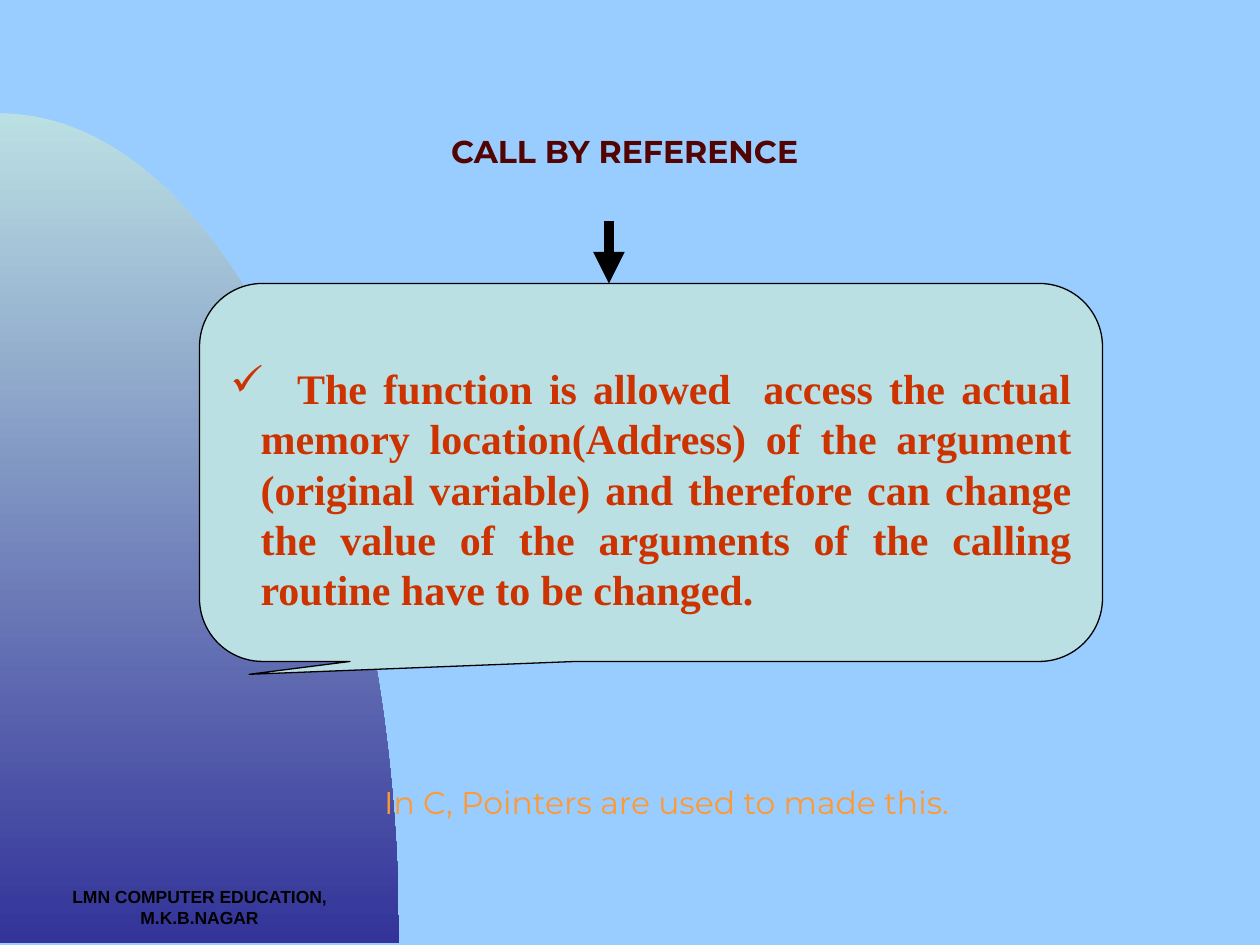
from dataclasses import dataclass
from math import cos, pi, sin

from lxml import etree
from pptx import Presentation
from pptx import util as u
from pptx.dml.color import RGBColor
from pptx.enum import shapes, text
from pptx.oxml import ns

WIDTH, HEIGHT = u.Inches(10), u.Inches(7.5)
COLUMNS, ROWS = 120, 90  # grid of the slide, twelve units to the inch

SKY = RGBColor(0x99, 0xCC, 0xFF)
MINT = RGBColor(0xBB, 0xE0, 0xE3)
INDIGO = RGBColor(0x33, 0x33, 0x99)
MAROON = RGBColor(0x52, 0x04, 0x02)
RUST = RGBColor(0xCC, 0x33, 0x00)
ORANGE = RGBColor(0xFF, 0x99, 0x33)
BLACK = RGBColor(0, 0, 0)


@dataclass
class Area:
    column: float
    row: float
    columns: float
    rows: float

    def lengths(self) -> tuple:
        return (across(self.column), down(self.row),
                across(self.columns), down(self.rows))


@dataclass
class Label:
    words: str
    font: str
    size: float
    color: RGBColor
    bold: bool = False
    align: int = text.PP_ALIGN.CENTER


def across(columns: float) -> int:
    return round(WIDTH * columns / COLUMNS)


def down(rows: float) -> int:
    return round(HEIGHT * rows / ROWS)


def apply(target, formats: dict) -> None:
    for name, value in formats.items():
        setattr(target, name, value)


def write(box, label: Label, anchor=text.MSO_ANCHOR.TOP):
    """Put one formatted paragraph in a shape and return the paragraph."""
    frame = box.text_frame
    apply(frame, {"word_wrap": True, "auto_size": text.MSO_AUTO_SIZE.NONE,
                  "vertical_anchor": anchor})
    para = frame.paragraphs[0]
    para.alignment = label.align
    span = para.add_run()
    span.text = label.words
    apply(span.font, {"name": label.font, "size": u.Pt(label.size),
                      "bold": label.bold})
    span.font.color.rgb = label.color
    return para


def add_label(page, area: Area, label: Label) -> None:
    write(page.shapes.add_textbox(*area.lengths()), label)


def add_quarter_ellipse(page, area: Area, steps: int = 90) -> None:
    left, top, width, height = area.lengths()
    bottom = top + height
    angles = [pi / 2 * step / steps for step in range(steps + 1)]
    rim = [(left + width * sin(a), bottom - height * cos(a)) for a in angles]
    builder = page.shapes.build_freeform(left, bottom)
    builder.add_line_segments(rim, close=True)
    shape = builder.convert_to_shape()
    shape.shadow.inherit = False
    shape.line.fill.background()
    shape.fill.gradient()
    shape.fill.gradient_angle = 270
    for stop, color in zip(shape.fill.gradient_stops, (MINT, INDIGO)):
        stop.color.rgb = color


def add_check_bullet(para, color: RGBColor, hang: float, tab: float) -> None:
    """Hang a check mark and start the first line at a tab stop."""
    props = para._p.get_or_add_pPr()
    props.set("marL", str(u.Inches(hang)))
    props.set("indent", str(-u.Inches(hang)))
    tint = etree.SubElement(props, ns.qn("a:buClr"))
    etree.SubElement(tint, ns.qn("a:srgbClr"), val=str(color))
    etree.SubElement(props, ns.qn("a:buChar"), char="✓")
    stops = etree.SubElement(props, ns.qn("a:tabLst"))
    etree.SubElement(stops, ns.qn("a:tab"), pos=str(u.Inches(tab)), algn="l")


def add_callout(page, area: Area, label: Label) -> None:
    shape = page.shapes.add_shape(
        shapes.MSO_SHAPE.ROUNDED_RECTANGULAR_CALLOUT, *area.lengths())
    for index, value in enumerate((-0.445, 0.534, 0.167)):
        shape.adjustments[index] = value
    shape.shadow.inherit = False
    shape.fill.solid()
    shape.fill.fore_color.rgb = MINT
    shape.line.color.rgb = BLACK
    shape.line.width = u.Pt(0.75)
    para = write(shape, label)
    shape.text_frame.margin_top = u.Inches(0.48)
    add_check_bullet(para, RUST, hang=0.24, tab=0.53)


def add_arrow(page, column: float, start: float, end: float) -> None:
    arrow = page.shapes.add_connector(
        shapes.MSO_CONNECTOR.STRAIGHT,
        across(column), down(start), across(column), down(end))
    arrow.line.color.rgb = BLACK
    arrow.line.width = u.Pt(6)
    etree.SubElement(arrow.line._get_or_add_ln(), ns.qn("a:tailEnd"),
                     type="triangle")
    etree.SubElement(arrow._element.spPr, ns.qn("a:effectLst"))


def main() -> None:
    deck = Presentation()
    apply(deck, {"slide_width": WIDTH, "slide_height": HEIGHT})
    page = deck.slides.add_slide(deck.slide_layouts[5])

    # Background and corner decoration
    page.background.fill.solid()
    page.background.fill.fore_color.rgb = SKY
    add_quarter_ellipse(page, Area(0, 10.8, 38, 79))

    # Footer
    add_label(page, Area(0, 83.75, 38, 6.25), Label(
        "LMN COMPUTER EDUCATION, M.K.B.NAGAR", "Arial", 10, BLACK, True))

    # Title
    title = page.shapes.title
    sides = ("left", "top", "width", "height")
    apply(title, dict(zip(sides, Area(27, 12, 65, 8.5).lengths())))
    write(title, Label("CALL BY REFERENCE", "Montserrat", 18, MAROON, True))

    # Explanation with the arrow leading to it
    add_callout(page, Area(19, 27, 86, 36), Label(
        "\tThe function is allowed  access the actual memory "
        "location(Address) of the argument (original variable) and therefore "
        "can change the value of the arguments of the calling routine have "
        "to be changed.",
        "Times New Roman", 24, RUST, True, text.PP_ALIGN.JUSTIFY))
    add_arrow(page, 58, 21, 27)

    # Closing remark
    add_label(page, Area(17, 74, 93, 7), Label(
        "In C, Pointers are used to made this.", "Montserrat", 18, ORANGE))

    deck.save("out.pptx")


if __name__ == "__main__":
    main()
